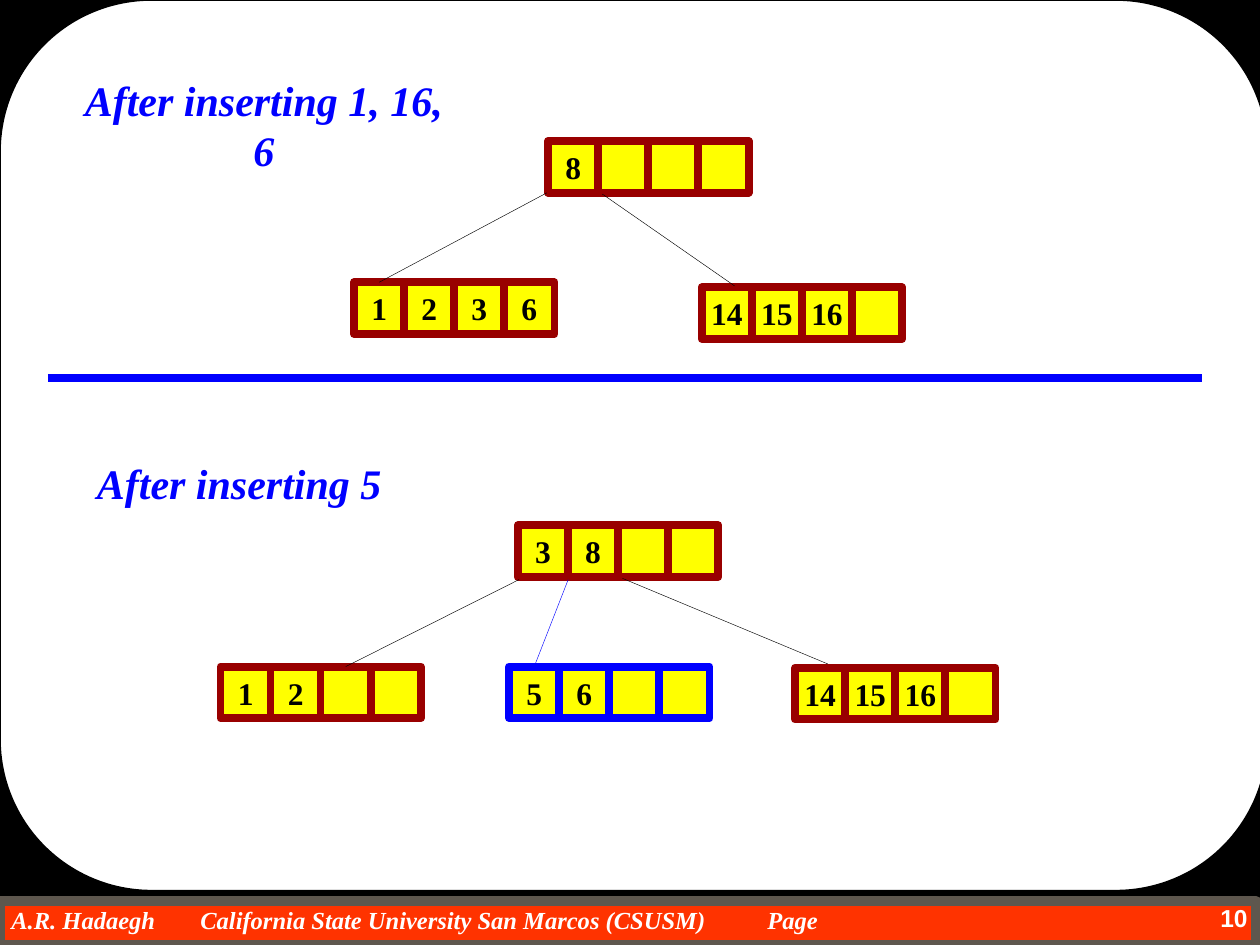
from lxml import etree
from pptx import Presentation
from pptx.dml.color import RGBColor
from pptx.enum.shapes import MSO_CONNECTOR, MSO_SHAPE
from pptx.enum.text import MSO_ANCHOR, PP_ALIGN
from pptx.oxml.ns import qn
from pptx.util import Pt

RECTANGLE, ROUNDED = MSO_SHAPE.RECTANGLE, MSO_SHAPE.ROUNDED_RECTANGLE
STRAIGHT = MSO_CONNECTOR.STRAIGHT
LEFT, CENTER, RIGHT = PP_ALIGN.LEFT, PP_ALIGN.CENTER, PP_ALIGN.RIGHT
TOP, MIDDLE = MSO_ANCHOR.TOP, MSO_ANCHOR.MIDDLE
SERIF, SANS = "Times New Roman", "Arial"
COLORS = {
    "black": "000000", "white": "FFFFFF", "orange": "FF3300", "gray": "5E574E",
    "yellow": "FFFF00", "red": "990000", "blue": "0000FF",
}
CELL_PITCH, CELL_WIDTH, CELL_HEIGHT = 28.6, 28.8, 29.5
CELLS_PER_NODE = 4


def add_box(kind, left, top, width, height, fill, line=None, weight=1):
    shape = slide.shapes.add_shape(kind, Pt(left), Pt(top), Pt(width), Pt(height))
    shape.shadow.inherit = False
    shape.fill.solid()
    shape.fill.fore_color.rgb = RGBColor.from_string(COLORS[fill])
    if line:
        shape.line.color.rgb = RGBColor.from_string(COLORS[line])
        shape.line.width = Pt(weight)
    else:
        shape.line.fill.background()
    return shape


def write(shape, text, size, color, font=SERIF, italic=False, align=CENTER,
          anchor=TOP, wrap=False, margins=(7.2, 3.6)):
    frame = shape.text_frame
    frame.word_wrap = wrap
    frame.vertical_anchor = anchor
    frame.margin_left = frame.margin_right = Pt(margins[0])
    frame.margin_top = frame.margin_bottom = Pt(margins[1])
    paragraph = frame.paragraphs[0]
    paragraph.alignment = align
    run = paragraph.add_run()
    run.text = text
    run.font.name = font
    run.font.size = Pt(size)
    run.font.bold = True
    run.font.italic = italic
    run.font.color.rgb = RGBColor.from_string(COLORS[color])
    return paragraph


presentation = Presentation()
presentation.slide_width, presentation.slide_height = Pt(720), Pt(540)
slide = presentation.slides.add_slide(presentation.slide_layouts[5])
slide.background.fill.solid()
slide.background.fill.fore_color.rgb = RGBColor.from_string(COLORS["black"])

add_box(RECTANGLE, 0, 514.8, 717.8, 25.2, "orange", "gray", 6)
footer = slide.shapes.add_textbox(Pt(0), Pt(517), Pt(697), Pt(16.6))
footer_paragraph = write(
    footer, "A.R. Hadaegh\tCalifornia State University San Marcos (CSUSM)\tPage",
    14, "white", italic=True, align=LEFT, wrap=True, margins=(0, 0))
properties = footer_paragraph._p.get_or_add_pPr()
properties.set("marL", str(Pt(6.5)))
properties.set("indent", "0")
tab_stops = etree.SubElement(properties, qn("a:tabLst"))
for position in (232, 660.5):
    etree.SubElement(tab_stops, qn("a:tab"), pos=str(Pt(position)), algn="l")

panel = add_box(ROUNDED, 0, 0, 724.3, 509, "white", "black", 1)
panel.adjustments[0] = 0.17

page_number = slide.shapes.add_textbox(Pt(666), Pt(512.6), Pt(54), Pt(27.4))
write(page_number, "10", 14, "white", font=SANS, align=RIGHT, wrap=True)

title = slide.shapes.title
slide.shapes.element.append(title.element)
title.left, title.top, title.width, title.height = Pt(32.4), Pt(38.9), Pt(236.9), Pt(36)
write(title, "After inserting 1, 16, 6", 24, "blue", italic=True)
second_heading = slide.shapes.add_textbox(Pt(48.2), Pt(257.8), Pt(177.1), Pt(36))
write(second_heading, "After inserting 5", 24, "blue", italic=True)

nodes = {
    "upper root": (313.2, 80.6, "red", ["8"]),
    "upper left": (202.3, 161.3, "red", ["1", "2", "3", "6"]),
    "upper right": (401, 164.2, "red", ["14", "15", "16"]),
    "lower root": (295.9, 300.2, "red", ["3", "8"]),
    "lower left": (126, 380.9, "red", ["1", "2"]),
    "lower middle": (290.9, 380.9, "blue", ["5", "6"]),
    "lower right": (454.3, 381.6, "red", ["14", "15", "16"]),
}
cells = {}
for name, (left, top, outline, keys) in nodes.items():
    for index in range(CELLS_PER_NODE):
        cell = add_box(RECTANGLE, left + index * CELL_PITCH, top,
                       CELL_WIDTH, CELL_HEIGHT, "yellow", outline, 4.5)
        cells[name, index] = cell
        if index < len(keys):
            write(cell, keys[index], 18, "black", anchor=MIDDLE, margins=(0, 0))

lines = [
    (27.4, 216, 686.9, 216, "blue", 4.5, None),
    (312.5, 110.2, 215.3, 162, "black", 0.25, ("upper left", 0)),
    (344.2, 110.9, 419.8, 163.4, "black", 0.25, None),
    (296.6, 331.2, 199.4, 382.3, "black", 0.25, ("lower left", 2)),
    (324.7, 331.2, 307.4, 378, "blue", 0.25, ("lower middle", 0)),
    (355.7, 330.5, 473, 379.4, "black", 0.25, None),
]
for x1, y1, x2, y2, color, weight, target in lines:
    connector = slide.shapes.add_connector(STRAIGHT, Pt(x1), Pt(y1), Pt(x2), Pt(y2))
    connector.line.color.rgb = RGBColor.from_string(COLORS[color])
    connector.line.width = Pt(weight)
    etree.SubElement(connector.element.spPr, qn("a:effectLst"))
    if target:
        connector.end_connect(cells[target], 0)

presentation.save("out.pptx")
